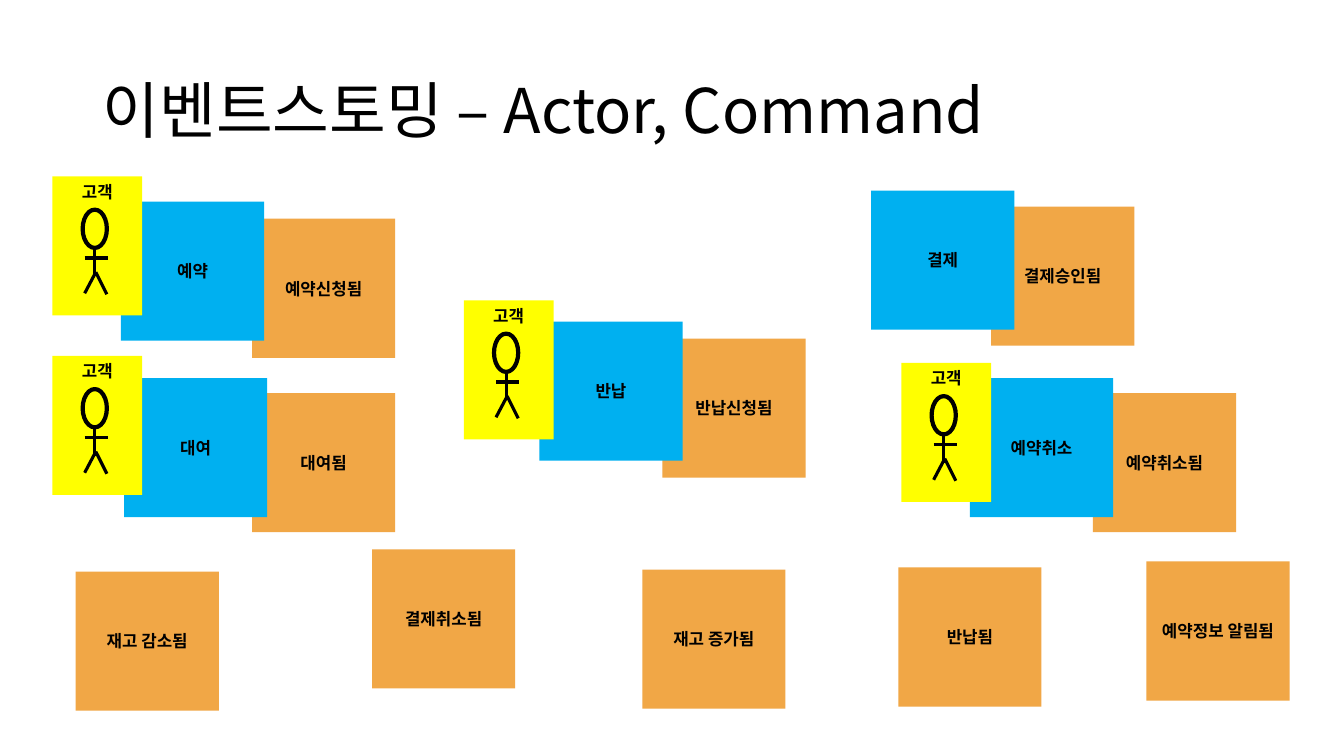
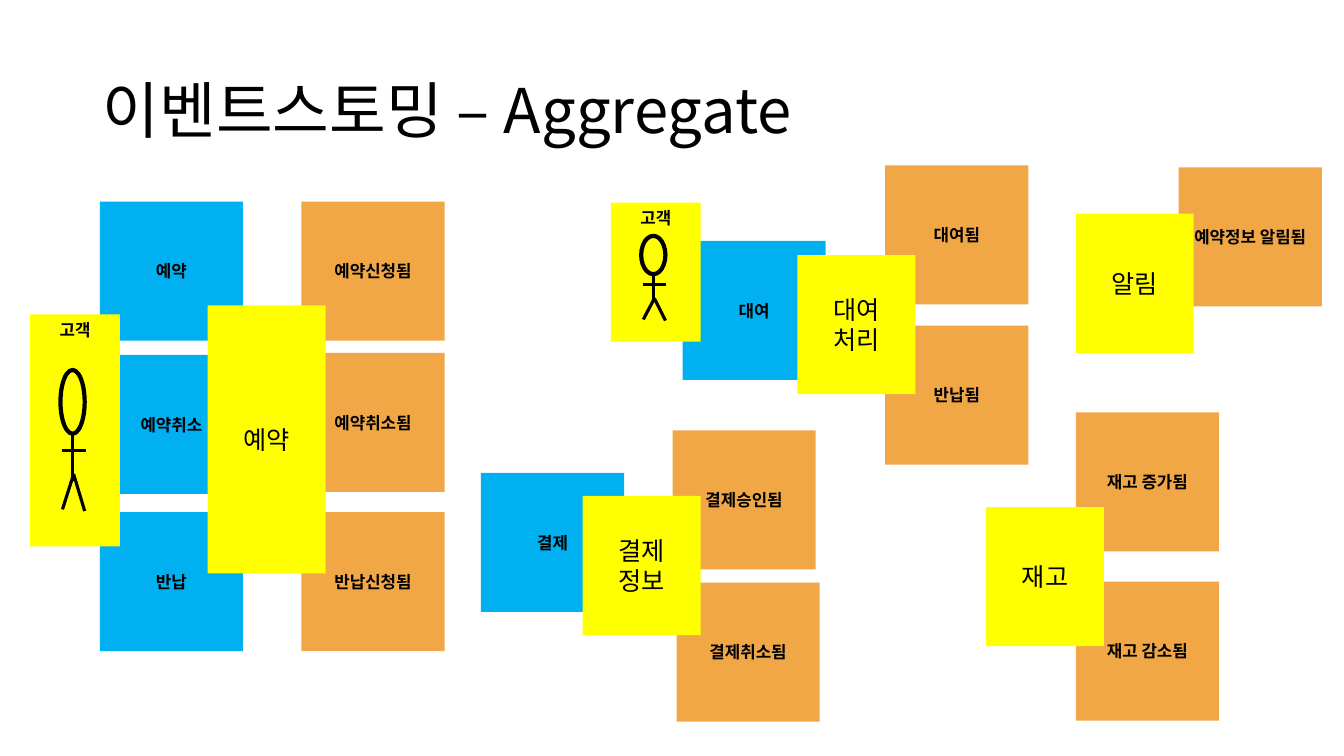
import dataclasses
import typing

import lxml.etree
import pptx
import pptx.dml.color
import pptx.enum.shapes
import pptx.enum.text
import pptx.oxml.ns
import pptx.util

Inches = pptx.util.Inches
ALIGN = pptx.enum.text.PP_ALIGN
ANCHOR = pptx.enum.text.MSO_ANCHOR
SHAPE = pptx.enum.shapes.MSO_SHAPE


@dataclasses.dataclass(frozen=True)
class Theme:
    """Colours, font and type sizes of the deck."""
    font: str = "Noto Sans CJK KR"
    ink: str = "000000"
    event: str = "F1A746"
    command: str = "00B0F0"
    actor: str = "FFFF00"
    aggregate: str = "FFFF00"
    title_size: float = 44
    aggregate_size: float = 18
    note_size: float = 12
    head_line: float = 3
    limb_line: float = 2.25


@dataclasses.dataclass(frozen=True)
class Kind:
    """Look shared by all sticky notes of one role."""
    fill: str
    width: float
    size: float
    bold: bool = True
    anchor: typing.Any = ANCHOR.MIDDLE
    figure: bool = False


@dataclasses.dataclass(frozen=True)
class Note:
    """One sticky note on the board."""
    kind: Kind
    text: str
    x: float
    y: float
    height: float = 1.38


@dataclasses.dataclass(frozen=True)
class Board:
    """One slide: its title and its notes from back to front."""
    title: str
    notes: list[Note]


THEME = Theme()
NOTE_HEIGHT = 1.38
EVENT = Kind(THEME.event, 1.42, THEME.note_size)
COMMAND = Kind(THEME.command, 1.42, THEME.note_size)
ACTOR = Kind(THEME.actor, 0.89, THEME.note_size, anchor=ANCHOR.TOP, figure=True)
AGGREGATE = Kind(THEME.aggregate, 1.17, THEME.aggregate_size, bold=False)

HEAD = (0.3, 0.33, 0.24, 0.38)
LIMBS = [
    (0.32, 0.81, 0.55, 0.81),
    (0.42, 0.7, 0.42, 0.99),
    (0.42, 0.97, 0.32, 1.16),
    (0.43, 0.95, 0.54, 1.17),
]

BOARDS = [
    Board("이벤트스토밍 – Actor, Command", [
        Note(EVENT, "결제승인됨", 9.83, 2.05),
        Note(EVENT, "대여됨", 2.5, 3.9),
        Note(EVENT, "반납신청됨", 6.57, 3.36),
        Note(EVENT, "결제취소됨", 3.69, 5.45),
        Note(EVENT, "예약취소됨", 10.84, 3.9),
        Note(EVENT, "재고 감소됨", 0.75, 5.67),
        Note(EVENT, "반납됨", 8.91, 5.63),
        Note(EVENT, "재고 증가됨", 6.37, 5.65),
        Note(EVENT, "예약신청됨", 2.5, 2.17),
        Note(EVENT, "예약정보 알림됨", 11.37, 5.57),
        Note(COMMAND, "예약", 1.2, 2),
        Note(COMMAND, "예약취소", 9.62, 3.75),
        Note(COMMAND, "반납", 5.35, 3.19),
        Note(COMMAND, "대여", 1.23, 3.75),
        Note(COMMAND, "결제", 8.64, 1.89),
        Note(ACTOR, "고객", 0.52, 1.75),
        Note(ACTOR, "고객", 0.52, 3.53),
        Note(ACTOR, "고객", 4.6, 2.98),
        Note(ACTOR, "고객", 8.94, 3.6),
    ]),
    Board("이벤트스토밍 – Aggregate", [
        Note(EVENT, "예약신청됨", 2.99, 2),
        Note(EVENT, "예약취소됨", 2.99, 3.5),
        Note(EVENT, "반납신청됨", 2.99, 5.08),
        Note(EVENT, "결제승인됨", 6.67, 4.27),
        Note(EVENT, "결제취소됨", 6.71, 5.78),
        Note(EVENT, "대여됨", 8.78, 1.64),
        Note(EVENT, "반납됨", 8.78, 3.23),
        Note(EVENT, "재고 증가됨", 10.67, 4.09),
        Note(EVENT, "재고 감소됨", 10.67, 5.77),
        Note(EVENT, "예약정보 알림됨", 11.69, 1.66),
        Note(COMMAND, "예약", 0.99, 2),
        Note(COMMAND, "예약취소", 0.99, 3.52),
        Note(COMMAND, "반납", 0.99, 5.08),
        Note(COMMAND, "결제", 4.77, 4.69),
        Note(COMMAND, "대여", 6.77, 2.39),
        Note(ACTOR, "고객", 0.3, 3.12, 2.3),
        Note(ACTOR, "고객", 6.06, 2.01),
        Note(AGGREGATE, "예약", 2.06, 3.03, 2.66),
        Note(AGGREGATE, "대여\n처리", 7.91, 2.53),
        Note(AGGREGATE, "결제\n정보", 5.78, 4.92),
        Note(AGGREGATE, "재고", 9.78, 5.03),
        Note(AGGREGATE, "알림", 10.67, 2.12),
    ]),
]


def rgb(value: str) -> pptx.dml.color.RGBColor:
    """Turn a hex string into a colour."""
    return pptx.dml.color.RGBColor.from_string(value)


def write(sp, text: str, *, size: float, bold: bool = False, align=ALIGN.CENTER,
          anchor=ANCHOR.MIDDLE, spacing: float | None = None) -> None:
    """Fill a shape with formatted text, one paragraph per line."""
    tf = sp.text_frame
    tf.word_wrap = True
    tf.auto_size = pptx.enum.text.MSO_AUTO_SIZE.NONE
    tf.vertical_anchor = anchor
    for i, line in enumerate(text.split("\n")):
        p = tf.add_paragraph() if i else tf.paragraphs[0]
        p.alignment = align
        p.line_spacing = spacing
        r = p.add_run()
        r.text = line
        r.font.name = THEME.font
        r.font.size = pptx.util.Pt(size)
        r.font.bold = bold
        r.font.color.rgb = rgb(THEME.ink)
        ea = lxml.etree.SubElement(r.font._element, pptx.oxml.ns.qn("a:ea"))
        ea.set("typeface", THEME.font)


def set_line(sp, width: float) -> None:
    """Give a shape or connector an ink line."""
    sp.line.color.rgb = rgb(THEME.ink)
    sp.line.width = pptx.util.Pt(width)


def add_figure(shapes, note: Note) -> None:
    """Draw a stick figure stretched to the height of its note."""
    scale = note.height / NOTE_HEIGHT
    x, y, w, h = HEAD
    head = shapes.add_shape(SHAPE.OVAL, Inches(note.x + x), Inches(note.y + y * scale),
                            Inches(w), Inches(h * scale))
    head.shadow.inherit = False
    head.fill.background()
    set_line(head, THEME.head_line)
    for x1, y1, x2, y2 in LIMBS:
        limb = shapes.add_connector(
            pptx.enum.shapes.MSO_CONNECTOR.STRAIGHT,
            Inches(note.x + x1), Inches(note.y + y1 * scale),
            Inches(note.x + x2), Inches(note.y + y2 * scale))
        set_line(limb, THEME.limb_line)
        lxml.etree.SubElement(limb._element.spPr, pptx.oxml.ns.qn("a:effectLst"))


def add_note(shapes, note: Note) -> None:
    """Draw a sticky note, grouped with its figure if it has one."""
    kind = note.kind
    if kind.figure:
        shapes = shapes.add_group_shape().shapes
    sp = shapes.add_shape(SHAPE.RECTANGLE, Inches(note.x), Inches(note.y),
                          Inches(kind.width), Inches(note.height))
    sp.shadow.inherit = False
    sp.fill.solid()
    sp.fill.fore_color.rgb = rgb(kind.fill)
    sp.line.fill.background()
    write(sp, note.text, size=kind.size, bold=kind.bold, anchor=kind.anchor)
    if kind.figure:
        add_figure(shapes, note)


def add_board(prs, board: Board) -> None:
    """Add a slide with its title and notes."""
    s = prs.slides.add_slide(prs.slide_layouts.get_by_name("Title Only"))
    title = s.shapes.title
    title.left, title.top = Inches(0.92), Inches(0.4)
    title.width, title.height = Inches(11.5), Inches(1.45)
    write(title, board.title, size=THEME.title_size, align=ALIGN.LEFT, spacing=0.9)
    for note in board.notes:
        add_note(s.shapes, note)


def main() -> None:
    """Build and save the deck."""
    prs = pptx.Presentation()
    prs.slide_width, prs.slide_height = Inches(13.33), Inches(7.5)
    for board in BOARDS:
        add_board(prs, board)
    prs.save("out.pptx")


if __name__ == "__main__":
    main()
